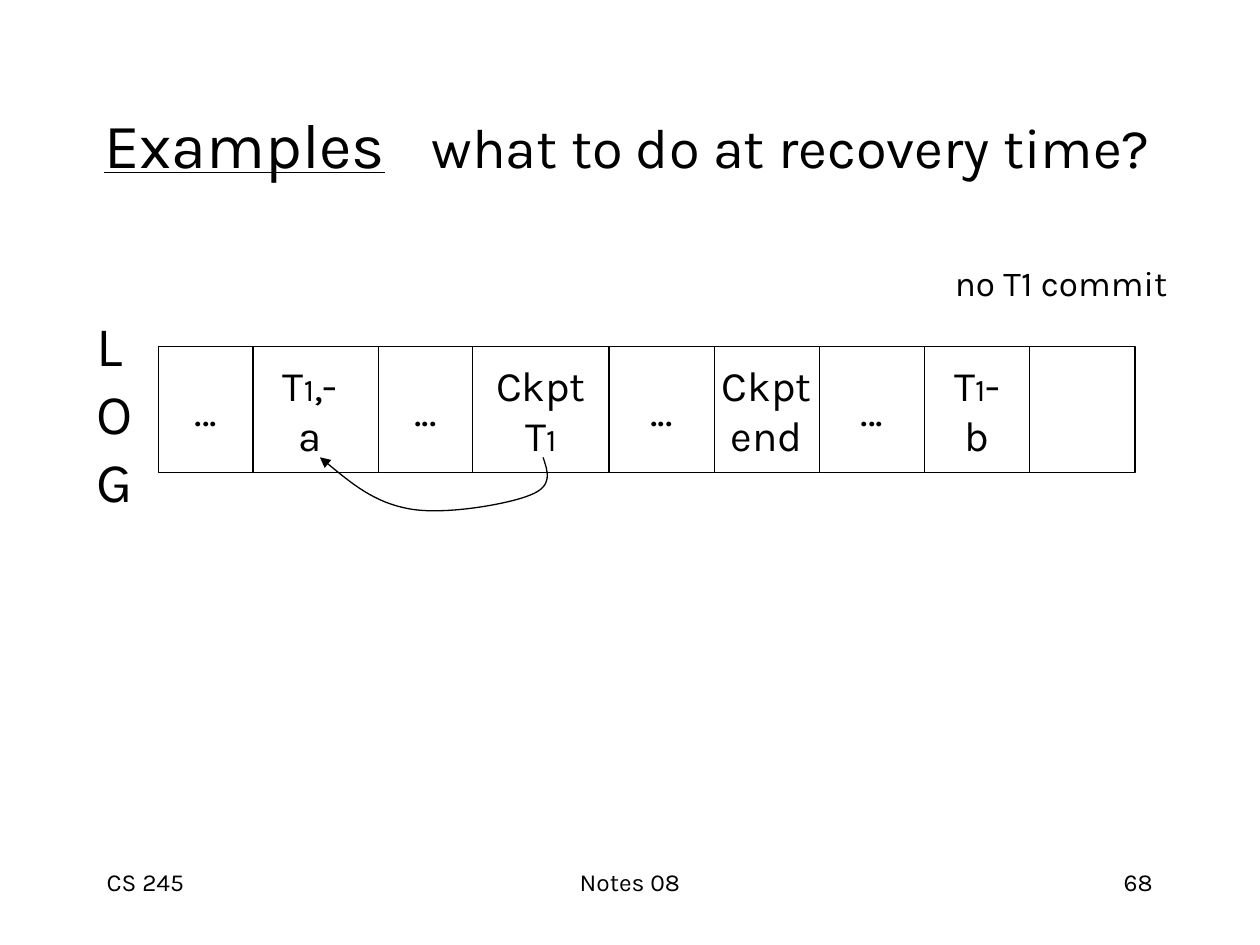
from lxml.etree import SubElement
from pptx import Presentation
from pptx.dml.color import RGBColor
from pptx.enum.shapes import MSO_SHAPE
from pptx.enum.text import MSO_ANCHOR, PP_ALIGN
from pptx.oxml.ns import qn
from pptx.util import Cm, Pt

FONT = "Karla"
BLACK, WHITE = "000000", "FFFFFF"

# A line of text is a list of (text, size, underlined) spans.
TITLE = [[("Examples", 36, True), ("\t", 36, False),
          ("what to do at recovery time?", 32, False)]]
TITLE_TAB = 6.6
LOG_LABEL = [[(letter, 32, False)] for letter in "LOG"]
COMMIT_NOTE = [[("no T1 commit", 20, False)]]

# text, left, width, alignment
FOOTERS = [
    ("CS 245", 1.9, 5.29, PP_ALIGN.LEFT),
    ("Notes 08", 8.68, 8.04, PP_ALIGN.CENTER),
    ("68", 18.2, 5.29, PP_ALIGN.RIGHT),
]

T1 = [("T", 24, False), ("1", 18, False)]
DOTS = [[("...", 24, False)]]
CKPT = [("Ckpt", 24, False)]

# Log records from left to right: width and lines
RECORDS = [
    (2.75, [T1 + [(",-", 24, False)], [("a", 24, False)]]),
    (1.9, DOTS),
    (2.75, [CKPT, T1]),
    (2.12, DOTS),
    (2.12, [CKPT, [("end", 24, False)]]),
    (2.12, DOTS),
    (2.12, [T1 + [("-", 24, False)], [("b", 24, False)]]),
    (2.12, []),
]
RECORDS_LEFT, RECORD_TOP, RECORD_HEIGHT = 4.88, 6.99, 2.54
OLDEST_LEFT, OLDEST_WIDTH = 3.2, 1.9  # overlaps the first record a little

# Start point, then two controls and an end point for each curve
POINTER = [(10.95, 9.22),
           (11.05, 9.53), (11.15, 9.8), (10.69, 9.98),
           (10.26, 10.16), (8.97, 10.39), (8.26, 10.26),
           (7.54, 10.13), (7.01, 9.68), (6.45, 9.22)]


def color(value):
    return RGBColor.from_string(value)


def write(shape, lines, align=PP_ALIGN.LEFT, anchor=MSO_ANCHOR.TOP, wrap=True,
          spacing=None, after=0):
    frame = shape.text_frame
    frame.word_wrap = wrap
    frame.vertical_anchor = anchor
    for index, line in enumerate(lines):
        para = frame.add_paragraph() if index else frame.paragraphs[0]
        para.alignment = align
        para.space_after = Pt(after)
        if spacing:
            para.line_spacing = spacing
        for text, size, underlined in line:
            span = para.add_run()
            span.text = text
            span.font.name = FONT
            span.font.size = Pt(size)
            span.font.underline = underlined
            span.font.color.rgb = color(BLACK)


def add_text(page, lines, left, top, width, height, **text_format):
    box = page.shapes.add_textbox(Cm(left), Cm(top), Cm(width), Cm(height))
    write(box, lines, **text_format)
    return box


def add_record(page, lines, left, width):
    cell = page.shapes.add_shape(MSO_SHAPE.RECTANGLE, Cm(left), Cm(RECORD_TOP),
                                 Cm(width), Cm(RECORD_HEIGHT))
    cell.shadow.inherit = False
    cell.fill.solid()
    cell.fill.fore_color.rgb = color(WHITE)
    outline(cell)
    write(cell, lines, align=PP_ALIGN.CENTER, anchor=MSO_ANCHOR.MIDDLE, wrap=False)


def outline(shape):
    shape.line.color.rgb = color(BLACK)
    shape.line.width = Pt(0.75)


def add_curved_arrow(page, points):
    start, *rest = [(Cm(x), Cm(y)) for x, y in points]
    builder = page.shapes.build_freeform(*start)
    builder.add_line_segments(rest, close=False)
    arrow = builder.convert_to_shape()
    arrow.shadow.inherit = False
    arrow.fill.background()
    outline(arrow)
    SubElement(arrow.line._get_or_add_ln(), qn("a:tailEnd"), type="triangle")

    # Every three line segments become one cubic curve.
    path = next(arrow._element.iter(qn("a:path")))
    segments = path.findall(qn("a:lnTo"))
    for index in range(0, len(segments), 3):
        curve = SubElement(path, qn("a:cubicBezTo"))
        for segment in segments[index:index + 3]:
            curve.append(segment[0])
            path.remove(segment)


def set_tab(para, position):
    tabs = SubElement(para._p.get_or_add_pPr(), qn("a:tabLst"))
    SubElement(tabs, qn("a:tab"), pos=str(Cm(position)), algn="l")


def main():
    deck = Presentation()
    deck.slide_width, deck.slide_height = Cm(25.4), Cm(19.05)
    page = deck.slides.add_slide(deck.slide_layouts[6])

    for text, left, width, align in FOOTERS:
        add_text(page, [[(text, 14, False)]], left, 17.35, width, 1.27, align=align)

    title = add_text(page, TITLE, 1.85, 1.3, 21.8, 3.18, anchor=MSO_ANCHOR.MIDDLE)
    set_tab(title.text_frame.paragraphs[0], TITLE_TAB)
    add_text(page, COMMIT_NOTE, 19, 5.15, 5.1, 1.1)
    add_text(page, LOG_LABEL, 1.7, 6.4, 1.4, 4.2, spacing=0.8, after=8)

    left = RECORDS_LEFT
    for width, lines in RECORDS:
        add_record(page, lines, left, width)
        left += width
    add_record(page, DOTS, OLDEST_LEFT, OLDEST_WIDTH)
    add_curved_arrow(page, POINTER)

    deck.save("out.pptx")


if __name__ == "__main__":
    main()
